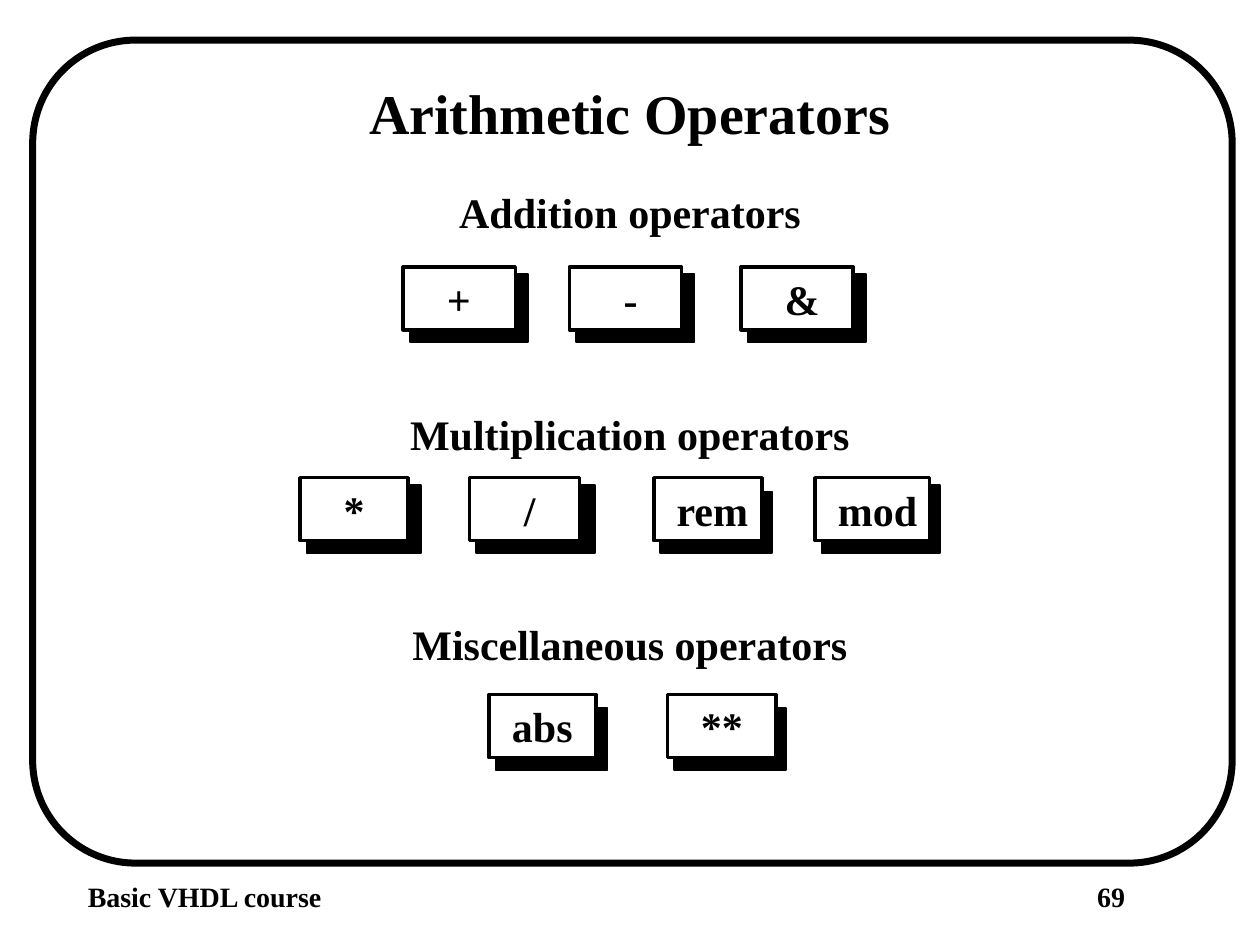
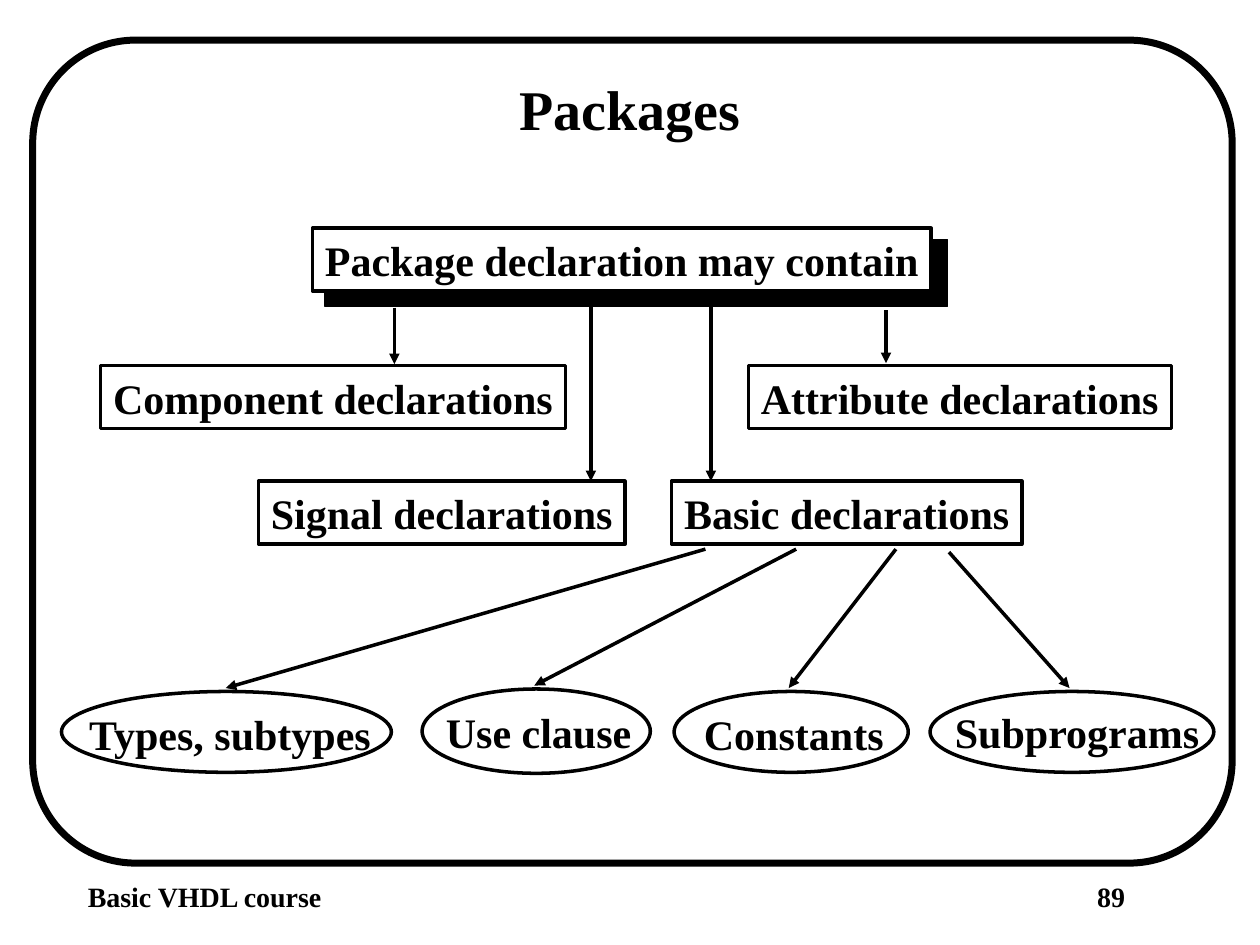
import pptx
import pptx.util
import pptx.dml.color
import pptx.enum.shapes
import pptx.enum.text
import pptx.oxml.ns
from lxml import etree

Cm = pptx.util.Cm
Pt = pptx.util.Pt
Shape = pptx.enum.shapes.MSO_SHAPE
Align = pptx.enum.text.PP_ALIGN

BLACK = pptx.dml.color.RGBColor(0x00, 0x00, 0x00)
WHITE = pptx.dml.color.RGBColor(0xFF, 0xFF, 0xFF)
FONT = "Times New Roman"

# Lengths in centimetres
SLIDE_WIDTH, SLIDE_HEIGHT = 25.4, 19.05
BOX_HEIGHT = 1.27
SIDE_INSET, TOP_INSET = 0.25, 0.13
INDENT_STEP = 0.21
LOW_SHADOW = (0.13, 0.28, 2.26, 1.24)   # offset right, offset down, width, height
HIGH_SHADOW = (0.13, 0.15, 2.39, 1.37)

# Each group: heading, heading top, heading width, row top, keys.
# Each key: operator, left, width, indent steps, shadow.
OPERATOR_GROUPS = [
    ("Addition operators", 3.63, 7.39, 5.38, [
        ("+", 8.13, 2.26, 3, HIGH_SHADOW),
        ("-", 11.48, 2.26, 4, HIGH_SHADOW),
        ("&", 14.94, 2.26, 3, HIGH_SHADOW)]),
    ("Multiplication operators", 8.1, 9.37, 9.63, [
        ("*", 6.05, 2.18, 3, (0.13, 0.15, 2.31, 1.37)),
        ("/", 9.47, 2.21, 4, HIGH_SHADOW),
        ("rem", 13.18, 2.18, 1, LOW_SHADOW),
        ("mod", 16.43, 2.31, 1, HIGH_SHADOW)]),
    ("Miscellaneous operators", 12.34, 9.27, 14.0, [
        ("abs", 9.86, 2.16, 1, LOW_SHADOW),
        ("**", 13.46, 2.18, 2, LOW_SHADOW)]),
]

# Text, left, top, width
DECLARATIONS = [
    ("Component declarations", 2.03, 7.37, 9.37),
    ("Attribute declarations", 15.09, 7.37, 8.53),
    ("Signal declarations", 5.21, 9.7, 7.39),
    ("Basic declarations", 13.54, 9.7, 7.06),
]

# Oval left, top, width, height, then label text, left, top, width
BASIC_ITEMS = [
    ((1.24, 13.94, 6.65, 1.63), "Types, subtypes", 1.55, 14.15, 6.25),
    ((8.51, 13.89, 4.6, 1.7), "Use clause", 8.74, 14.12, 4.24),
    ((13.59, 13.94, 4.72, 1.63), "Constants", 13.94, 14.15, 4.11),
    ((18.75, 13.94, 5.72, 1.63), "Subprograms", 19.0, 14.12, 5.44),
]

# Start x, start y, end x, end y
ARROWS = [
    (7.95, 6.2, 7.95, 7.34),
    (17.86, 6.25, 17.86, 7.32),
    (11.91, 6.07, 11.91, 9.7),
    (14.33, 6.15, 14.33, 9.7),
    (14.22, 11.07, 4.55, 13.87),
    (16.05, 11.07, 10.77, 13.82),
    (18.06, 11.07, 15.9, 13.87),
    (19.13, 11.13, 21.56, 13.87),
]


def write_text(shape, text, size=24, align=Align.LEFT, inset=SIDE_INSET):
    """Put one bold line of text into a shape or text box."""
    frame = shape.text_frame
    frame.word_wrap = True
    frame.vertical_anchor = pptx.enum.text.MSO_ANCHOR.TOP
    frame.margin_left, frame.margin_right = Cm(inset), 0
    frame.margin_top = frame.margin_bottom = Cm(TOP_INSET)
    para = frame.paragraphs[0]
    para.alignment = align
    span = para.add_run()
    span.text = text
    span.font.name = FONT
    span.font.size = Pt(size)
    span.font.bold = True
    span.font.color.rgb = BLACK


def add_label(page, text, left, top, width, height=BOX_HEIGHT, **text_format):
    box = page.shapes.add_textbox(Cm(left), Cm(top), Cm(width), Cm(height))
    write_text(box, text, **text_format)


def add_centred_label(page, text, top, width, height=BOX_HEIGHT, size=24):
    add_label(page, text, (SLIDE_WIDTH - width) / 2, top, width, height,
              size=size, align=Align.CENTER, inset=0)


def add_outline(page, kind, left, top, width, height, fill=None, line_width=2):
    shape = page.shapes.add_shape(kind, Cm(left), Cm(top), Cm(width), Cm(height))
    shape.shadow.inherit = False
    if fill is None:
        shape.fill.background()
    else:
        shape.fill.solid()
        shape.fill.fore_color.rgb = fill
    shape.line.color.rgb = BLACK
    shape.line.width = Pt(line_width)
    return shape


def add_text_box(page, text, left, top, width, fill=None, **text_format):
    box = add_outline(page, Shape.RECTANGLE, left, top, width, BOX_HEIGHT, fill)
    write_text(box, text, **text_format)


def add_raised_box(page, text, left, top, width, shadow, **text_format):
    """White box in front of a solid black one."""
    right, down, shadow_width, shadow_height = shadow
    add_outline(page, Shape.RECTANGLE, left + right, top + down,
                shadow_width, shadow_height, BLACK, line_width=1)
    add_text_box(page, text, left, top, width, WHITE, **text_format)


def add_arrow(page, start_x, start_y, end_x, end_y):
    arrow = page.shapes.add_connector(
        pptx.enum.shapes.MSO_CONNECTOR.STRAIGHT,
        Cm(start_x), Cm(start_y), Cm(end_x), Cm(end_y))
    arrow.line.color.rgb = BLACK
    arrow.line.width = Pt(2)
    qn = pptx.oxml.ns.qn
    etree.SubElement(arrow.line._get_or_add_ln(), qn("a:tailEnd"), type="triangle")
    etree.SubElement(arrow._element.spPr, qn("a:effectLst"))


def add_page(deck, title, title_top, title_width, number):
    """Blank page with the shared frame, footer and title."""
    page = deck.slides.add_slide(deck.slide_layouts[6])
    frame = add_outline(page, Shape.ROUNDED_RECTANGLE,
                        0.66, 0.81, 24.18, 16.59, line_width=4)
    frame.adjustments[0] = 0.125
    add_label(page, "Basic VHDL course", 1.52, 17.6, 5.26, 0.91, size=16)
    add_label(page, str(number), 21.87, 17.6, 3.05, 0.91, size=16)
    add_centred_label(page, title, title_top, title_width, 1.6, size=32)
    return page


def build_operators(deck):
    page = add_page(deck, "Arithmetic Operators", 1.45, 11.02, 69)
    for heading, heading_top, heading_width, row_top, keys in OPERATOR_GROUPS:
        add_centred_label(page, heading, heading_top, heading_width)
        for operator, left, width, steps, shadow in keys:
            add_raised_box(page, operator, left, row_top, width, shadow,
                           inset=SIDE_INSET + steps * INDENT_STEP)


def build_packages(deck):
    page = add_page(deck, "Packages", 1.37, 4.95, 89)
    add_raised_box(page, "Package declaration may contain", 6.3, 4.6, 12.47,
                   (0.25, 0.23, 12.55, 1.35))
    for declaration in DECLARATIONS:
        add_text_box(page, *declaration)
    for oval, *label in BASIC_ITEMS:
        add_outline(page, Shape.OVAL, *oval)
        add_label(page, *label)
    for arrow in ARROWS:
        add_arrow(page, *arrow)


def main():
    deck = pptx.Presentation()
    deck.slide_width, deck.slide_height = Cm(SLIDE_WIDTH), Cm(SLIDE_HEIGHT)
    build_operators(deck)
    build_packages(deck)
    deck.save("out.pptx")


if __name__ == "__main__":
    main()
